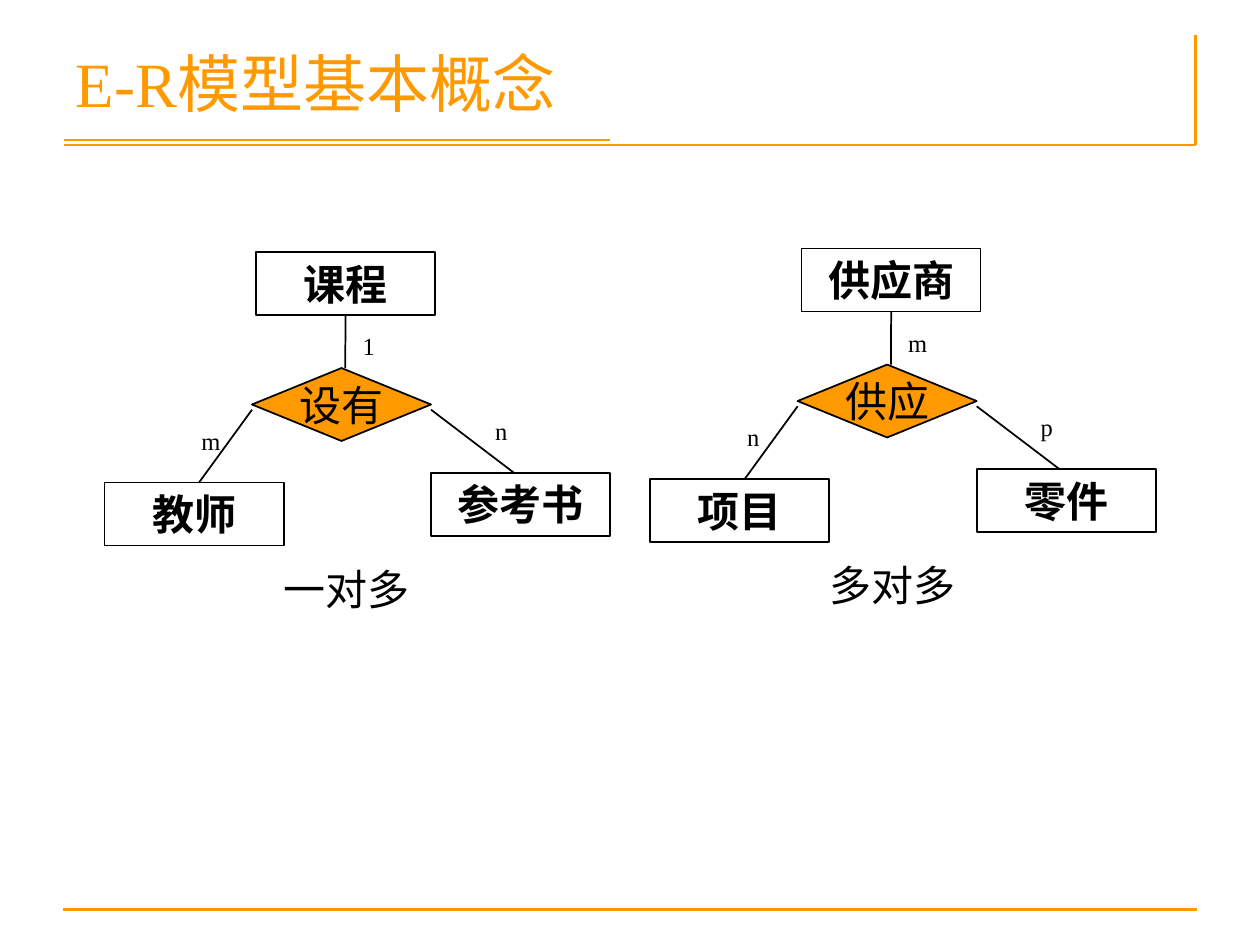
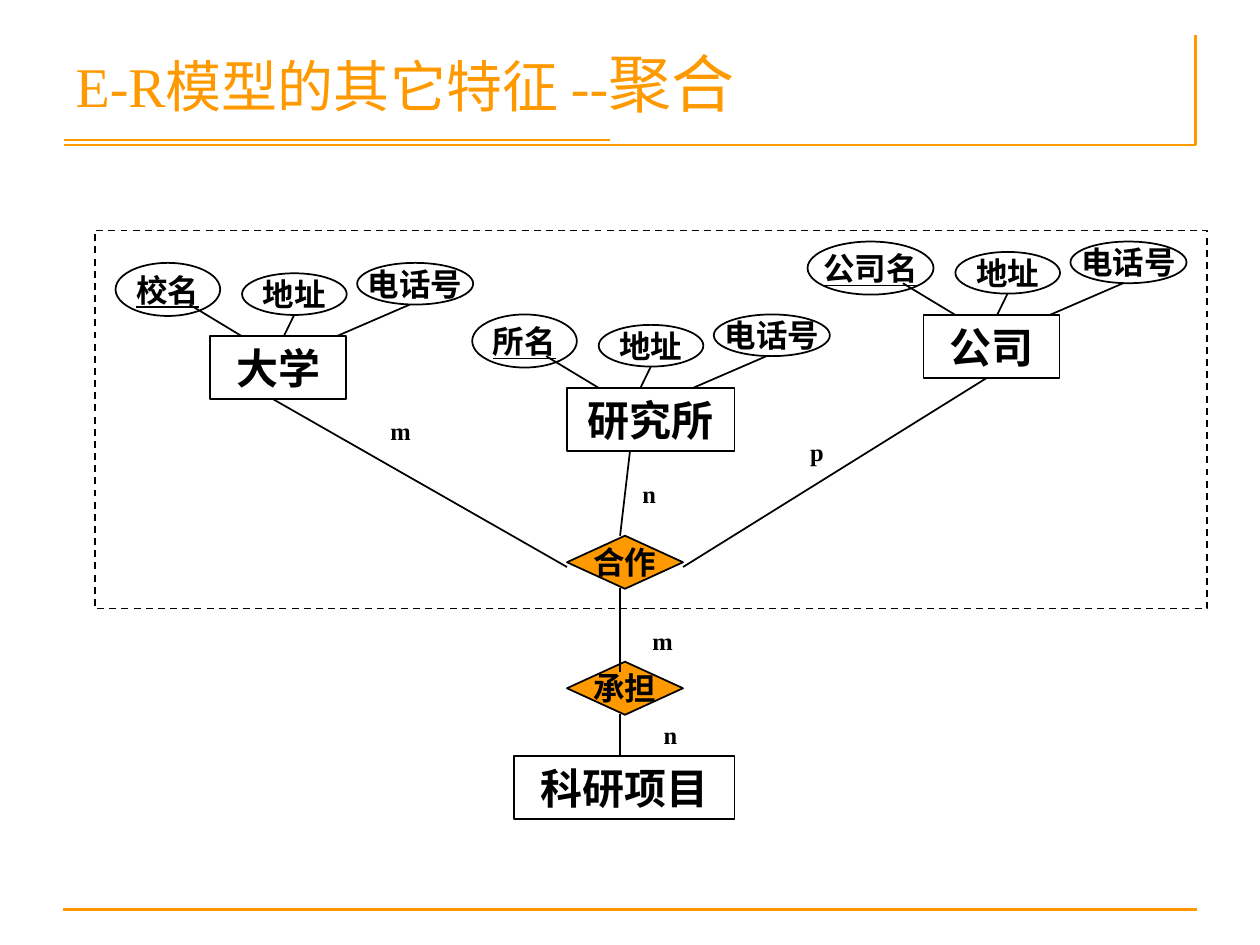
from typing import NamedTuple

from lxml import etree
from pptx import Presentation
from pptx import util as u
from pptx.dml.color import RGBColor
from pptx.enum import dml, shapes, text
from pptx.oxml.ns import qn

ORANGE, BLACK = "FF9900", "000000"
SERIF = "Times New Roman"
KIND = shapes.MSO_SHAPE
ALIGN = text.PP_ALIGN
ANCHOR = text.MSO_ANCHOR
ROW = 1.27  # height of an entity or caption


class Point(NamedTuple):
    x: float
    y: float

    def plus(self, x: float, y: float) -> "Point":
        return Point(self.x + x, self.y + y)


class Size(NamedTuple):
    w: float
    h: float


class Style(NamedTuple):
    size: int
    bold: bool = False
    under: bool = False
    color: str = BLACK


class Trio(NamedTuple):
    """A relation between three entities, with the mark of each branch."""
    shift: Point
    top: str
    left: str
    right: str
    link: str
    marks: tuple[str, str, str]
    note: str


class Party(NamedTuple):
    """An entity with its key, address and phone attributes."""
    at: Point
    width: float
    name: str
    key: str
    span: float


TRIOS = (
    Trio(Point(0, 0), "课程", "教师", "参考书", "设有", ("1", "m", "n"), "一对多"),
    Trio(Point(11, -0.07), "供应商", "项目", "零件", "供应", ("m", "n", "p"), "多对多"),
)
PARTIES = (
    Party(Point(4.24, 6.78), 2.74, "大学", "校名", 2.11),
    Party(Point(11.43, 7.82), 3.38, "研究所", "所名", 2.11),
    Party(Point(18.62, 6.35), 2.74, "公司", "公司名", 2.54),
)
RULES = (
    (Point(1.27, 18.34), Point(24.13, 18.34)),
    (Point(1.3, 2.92), Point(24.1, 2.92)),
    (Point(24.1, 0.71), Point(24.1, 2.92)),
    (Point(1.3, 2.82), Point(12.29, 2.82)),
)
LINKS = (
    (Point(5.51, 8.05), Point(11.43, 11.43)),
    (Point(12.7, 9.09), Point(12.5, 10.8)),
    (Point(19.89, 7.62), Point(13.77, 11.43)),
    (Point(12.5, 11.86), Point(12.5, 13.54)),
    (Point(12.5, 14.4), Point(12.5, 15.24)),
)
MARKS = (
    ("m", Point(7.62, 8.26)),
    ("n", Point(12.7, 9.53)),
    ("p", Point(16.08, 8.69)),
    ("m", Point(12.9, 12.5)),
    ("n", Point(13.13, 14.4)),
)


def rgb(code: str) -> RGBColor:
    return RGBColor.from_string(code)


def frame(at: Point, size: Size) -> list[u.Cm]:
    return [u.Cm(v) for v in (*at, *size)]


def write(para, words: str, style: Style) -> None:
    run = para.add_run()
    run.text = words
    font = run.font
    font.name, font.size = SERIF, u.Pt(style.size)
    font.bold, font.underline = style.bold, style.under
    font.color.rgb = rgb(style.color)


def draw(slide, kind, at: Point, size: Size, fill: str = ""):
    """Add an outlined shape, hollow unless a fill is given."""
    shape = slide.shapes.add_shape(kind, *frame(at, size))
    shape.shadow.inherit = False
    if fill:
        shape.fill.solid()
        shape.fill.fore_color.rgb = rgb(fill)
    else:
        shape.fill.background()
    shape.line.color.rgb = rgb(BLACK)
    shape.line.width = u.Pt(1)
    return shape


def label(shape, words: str, style: Style, wrap: bool = False,
          anchor=ANCHOR.MIDDLE, align=ALIGN.CENTER) -> None:
    body = shape.text_frame
    body.word_wrap, body.vertical_anchor = wrap, anchor
    para = body.paragraphs[0]
    para.alignment = align
    write(para, words, style)


def entity(slide, at: Point, width: float, name: str):
    box = draw(slide, KIND.RECTANGLE, at, Size(width, ROW))
    label(box, name, Style(24, bold=True), wrap=True, anchor=ANCHOR.TOP)
    return box


def relate(slide, at: Point, size: Size, name: str, style: Style) -> None:
    """Add the diamond of a relation."""
    label(draw(slide, KIND.FLOWCHART_DECISION, at, size, ORANGE), name, style)


def trait(slide, at: Point, size: Size, name: str, key: bool = False) -> None:
    """Add the ellipse of an attribute; a key is underlined."""
    oval = draw(slide, KIND.OVAL, at, size)
    label(oval, name, Style(18, bold=True, under=key))


def note(slide, at: Point, size: Size, words: str, style: Style, align) -> None:
    box = slide.shapes.add_textbox(*frame(at, size))
    label(box, words, style, True, ANCHOR.TOP, align)


def mark(slide, at: Point, words: str, bold: bool = False) -> None:
    """Add the count beside a branch."""
    note(slide, at, Size(1.07, 0.86), words, Style(14, bold), ALIGN.LEFT)


def join(slide, start: Point, end: Point, color: str = BLACK, width: float = 1):
    line = slide.shapes.add_connector(
        shapes.MSO_CONNECTOR.STRAIGHT, *[u.Cm(v) for v in (*start, *end)])
    line.line.color.rgb = rgb(color)
    line.line.width = u.Pt(width)
    etree.SubElement(line.element.spPr, qn("a:effectLst"))
    return line


def start(deck, *parts: tuple[str, int]):
    """Add a slide with its title and rules."""
    slide = deck.slides.add_slide(deck.slide_layouts[5])
    title = slide.shapes.title
    title.left, title.top, title.width, title.height = frame(
        Point(1.27, 0.76), Size(22.86, 2.16))
    body = title.text_frame
    body.auto_size = text.MSO_AUTO_SIZE.NONE
    body.vertical_anchor = ANCHOR.TOP
    para = body.paragraphs[0]
    para.alignment = ALIGN.LEFT
    for words, size in parts:
        write(para, words, Style(size, color=ORANGE))
    for ends in RULES:
        join(slide, *ends, ORANGE, 1.5)
    return slide


def add_trio(slide, trio: Trio) -> None:
    at = trio.shift.plus
    width = 3.61
    top = entity(slide, at(5.16, 5.08), width, trio.top)
    entity(slide, at(2.11, 9.73), width, trio.left)
    entity(slide, at(8.69, 9.53), width, trio.right)
    relate(slide, at(5.08, 7.42), Size(width, 1.47), trio.link, Style(24))
    stem = join(slide, at(6.96, 6.35), at(6.96, 7.42))
    stem.begin_connect(top, 2)
    join(slide, at(5.08, 8.26), at(4.01, 9.73))
    join(slide, at(8.69, 8.26), at(10.36, 9.53))
    spots = at(7.06, 6.55), at(3.81, 8.46), at(9.73, 8.26)
    for spot, words in zip(spots, trio.marks):
        mark(slide, spot, words)
    note(slide, at(4.24, 11.23), Size(5.51, ROW), trio.note, Style(24),
         ALIGN.CENTER)


def add_party(slide, party: Party) -> None:
    at = party.at.plus
    entity(slide, party.at, party.width, party.name)
    trait(slide, at(0.2 - party.span, -1.48), Size(party.span, 1.07),
          party.key, key=True)
    trait(slide, at(0.64, -1.27), Size(2.11, 0.84), "地址")
    trait(slide, at(2.96, -1.48), Size(2.34, 0.84), "电话号")
    join(slide, at(-0.42, -0.64), at(0.64, 0))
    join(slide, at(1.69, -0.43), at(1.48, 0))
    join(slide, at(4.02, -0.64), at(2.54, 0))


def basics(deck) -> None:
    slide = start(deck, ("E-R模型基本概念", 36))
    for trio in TRIOS:
        add_trio(slide, trio)


def merging(deck) -> None:
    slide = start(deck, ("E-R模型的其它特征 --", 32), ("聚合", 36))
    for party in PARTIES:
        add_party(slide, party)
    entity(slide, Point(10.36, 15.24), 4.45, "科研项目")
    for y, name in ((10.8, "合作"), (13.34, "承担")):
        relate(slide, Point(11.43, y), Size(2.34, 1.07), name,
               Style(18, bold=True))
    for words, at in MARKS:
        mark(slide, at, words, bold=True)
    for ends in LINKS:
        join(slide, *ends)
    group = draw(slide, KIND.RECTANGLE, Point(1.91, 4.65), Size(22.43, 7.62))
    group.line.dash_style = dml.MSO_LINE.DASH


def main() -> None:
    deck = Presentation()
    deck.slide_width, deck.slide_height = u.Cm(25.4), u.Cm(19.05)
    basics(deck)
    merging(deck)
    deck.save("out.pptx")


if __name__ == "__main__":
    main()
